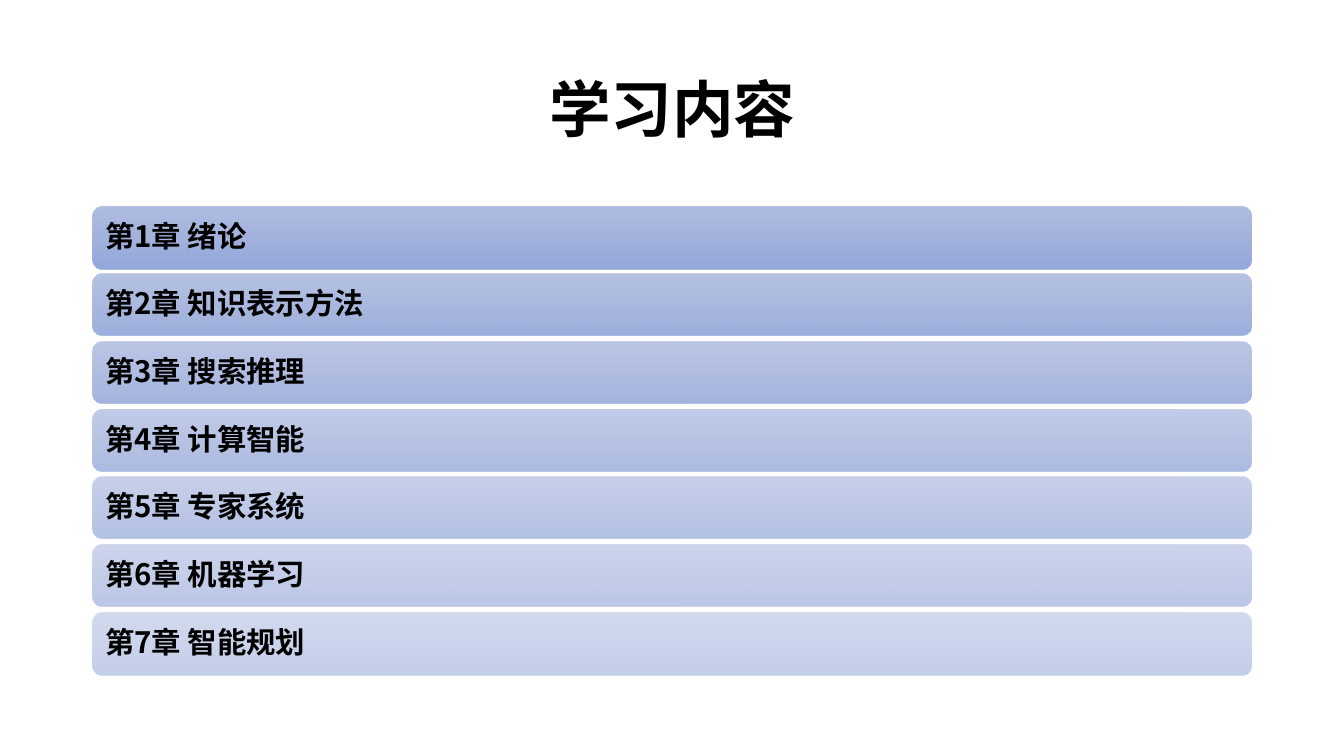
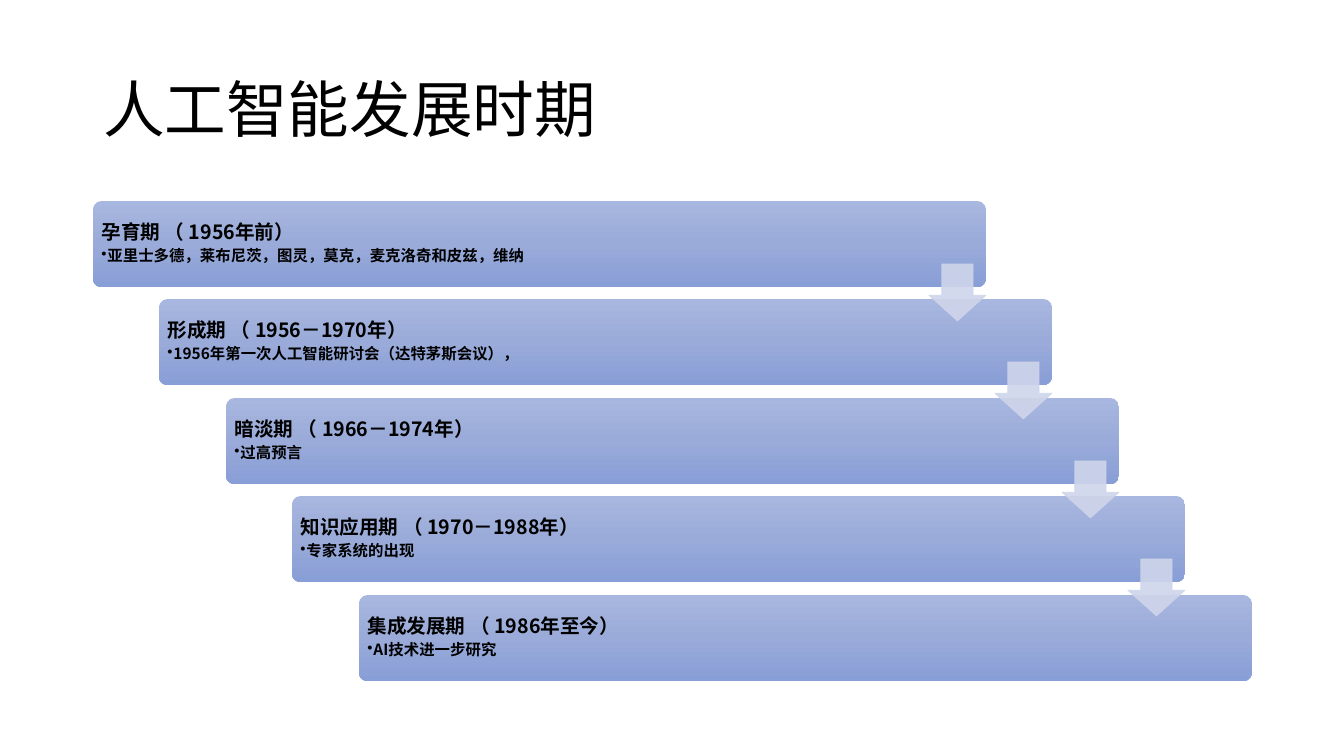
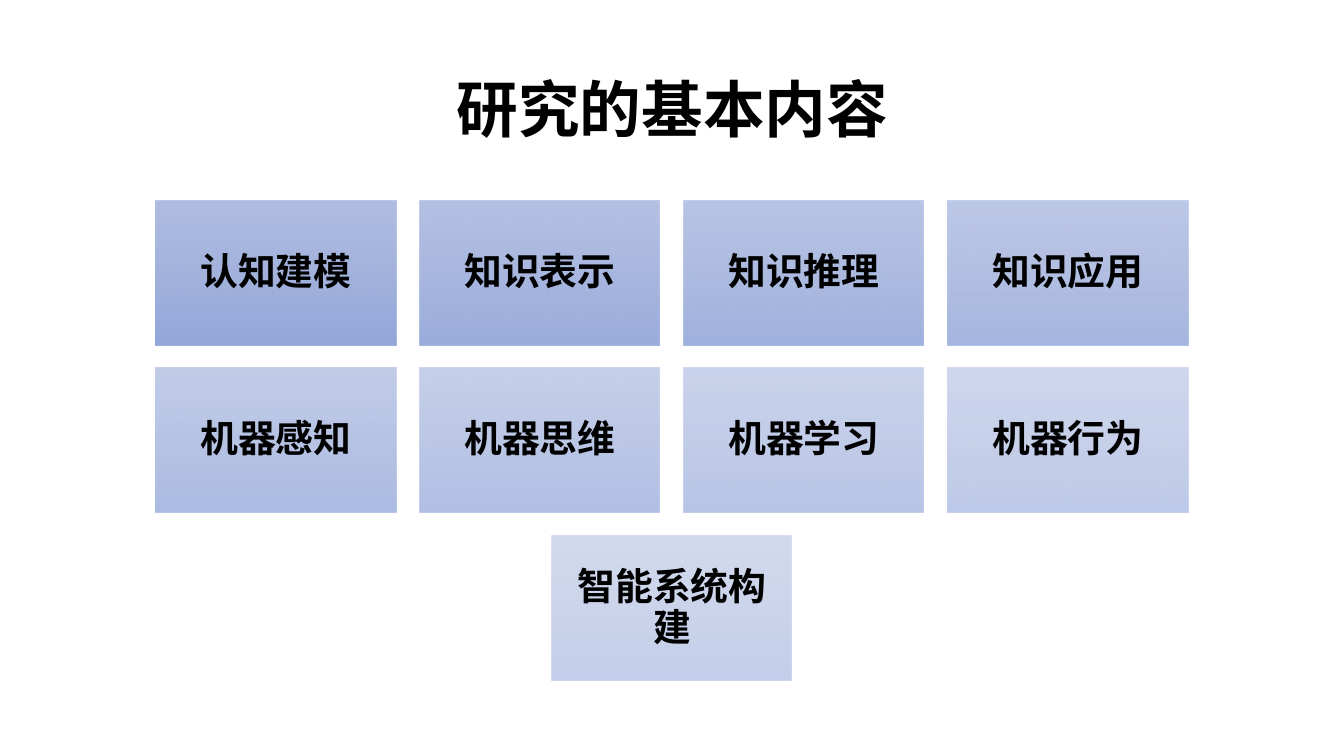
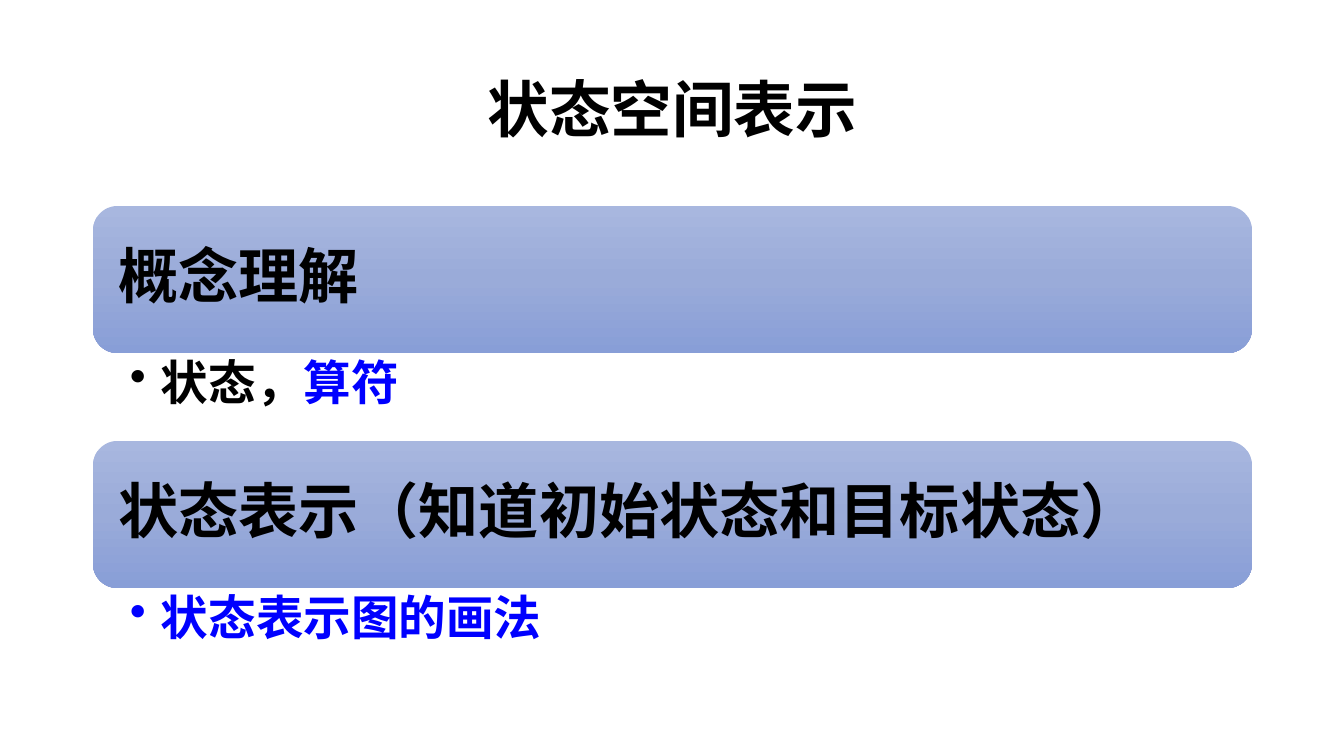
from lxml import etree
from pptx import Presentation
from pptx.dml.color import RGBColor
from pptx.enum import shapes, text
from pptx.oxml import ns
from pptx.util import Pt

SCALE = 12192000 / 1344
FONT = "Noto Sans CJK SC"
BLACK = RGBColor(0x00, 0x00, 0x00)
BLUE = RGBColor(0x00, 0x00, 0xFF)
PALE = RGBColor(0xCF, 0xD5, 0xEA)
GRADIENT = (
    (0, RGBColor(0xA8, 0xB7, 0xDF)),
    (50, RGBColor(0x9A, 0xAB, 0xD9)),
    (100, RGBColor(0x88, 0x9E, 0xD7)),
)
LEFT, WIDTH = 93, 1159
ROUNDED = shapes.MSO_SHAPE.ROUNDED_RECTANGLE


def write(paragraph, size, *runs, bold=True, gap=3, indent=0):
    if indent:
        paragraph.level = 1
        properties = paragraph._p.get_or_add_pPr()
        properties.set("marL", str(int(indent * SCALE)))
        properties.set("indent", str(-int(indent * SCALE)))
        etree.SubElement(properties, ns.qn("a:buChar"), char="•")
    paragraph.line_spacing = 0.9
    paragraph.space_after = Pt(gap)
    for words, color in runs:
        run = paragraph.add_run()
        run.text = words
        run.font.size = Pt(size)
        run.font.bold = bold
        run.font.name = FONT
        run.font.color.rgb = color
        etree.SubElement(run._r.get_or_add_rPr(), ns.qn("a:ea"), typeface=FONT)


def add_card(slide, kind, box, inset, opacity=100):
    card = slide.shapes.add_shape(kind, *[int(length * SCALE) for length in box])
    card.shadow.inherit = False
    card.line.fill.background()
    card.fill.gradient()
    card.fill.gradient_angle = 270
    stops = next(card._element.spPr.iter(ns.qn("a:gsLst")))
    for stop in list(stops):
        stops.remove(stop)
    for position, color in GRADIENT:
        stop = etree.SubElement(stops, ns.qn("a:gs"), pos=str(position * 1000))
        fill = etree.SubElement(stop, ns.qn("a:srgbClr"), val=str(color))
        etree.SubElement(fill, ns.qn("a:alpha"), val=str(int(opacity * 1000)))
    frame = card.text_frame
    frame.word_wrap = True
    frame.vertical_anchor = text.MSO_ANCHOR.MIDDLE
    frame.margin_left = frame.margin_right = int(inset * SCALE)
    frame.margin_top = frame.margin_bottom = int(inset * SCALE)
    frame.paragraphs[0].alignment = text.PP_ALIGN.LEFT
    return card


presentation = Presentation()
presentation.slide_width = int(1344 * SCALE)
presentation.slide_height = int(756 * SCALE)

slides = []
for words, alignment, bold in (
    ("学习内容", text.PP_ALIGN.CENTER, True),
    ("人工智能发展时期", text.PP_ALIGN.LEFT, False),
    ("研究的基本内容", text.PP_ALIGN.CENTER, True),
    ("状态空间表示", text.PP_ALIGN.CENTER, True),
):
    slide = presentation.slides.add_slide(presentation.slide_layouts[5])
    title = slide.shapes.title
    title.left, title.top = int(LEFT * SCALE), int(40 * SCALE)
    title.width, title.height = int(WIDTH * SCALE), int(146 * SCALE)
    title.text_frame.auto_size = text.MSO_AUTO_SIZE.NONE
    title.text_frame.vertical_anchor = text.MSO_ANCHOR.MIDDLE
    paragraph = title.text_frame.paragraphs[0]
    paragraph.alignment = alignment
    write(paragraph, 44, (words, BLACK), bold=bold, gap=0)
    slides.append(slide)
contents_slide, periods_slide, topics_slide, states_slide = slides

chapters = ["绪论", "知识表示方法", "搜索推理", "计算智能", "专家系统", "机器学习", "智能规划"]
for index, chapter in enumerate(chapters):
    box = (LEFT, 207 + 406 * index // 6, WIDTH, 62)
    card = add_card(contents_slide, ROUNDED, box, 9, 90 - 40 * index / 6)
    write(card.text_frame.paragraphs[0], 21, (f"第{index + 1}章 {chapter}", BLACK))

periods = [
    ("孕育期 （ 1956年前）", "亚里士多德，莱布尼茨，图灵，莫克，麦克洛奇和皮兹，维纳"),
    ("形成期 （ 1956－1970年）", "1956年第一次人工智能研讨会（达特茅斯会议），"),
    ("暗淡期 （ 1966－1974年）", "过高预言"),
    ("知识应用期 （ 1970－1988年）", "专家系统的出现"),
    ("集成发展期 （ 1986年至今）", "AI技术进一步研究"),
]
corners = [(LEFT + 266 * step // 4, 201 + 394 * step // 4) for step in range(5)]
for (left, top), (period, event) in zip(corners, periods):
    card = add_card(periods_slide, ROUNDED, (left, top, 893, 86), 6)
    card.adjustments[0] = 0.1
    write(card.text_frame.paragraphs[0], 14, (period, BLACK))
    paragraph = card.text_frame.add_paragraph()
    paragraph.alignment = text.PP_ALIGN.LEFT
    write(paragraph, 11, (event, BLACK), gap=2, indent=6)
for left, top in corners[:-1]:
    box = (left + 836, top + 63, 57, 57)
    arrow = periods_slide.shapes.add_shape(
        shapes.MSO_SHAPE.DOWN_ARROW, *[int(length * SCALE) for length in box]
    )
    arrow.shadow.inherit = False
    arrow.adjustments[0], arrow.adjustments[1] = 0.55, 0.45
    arrow.fill.solid()
    arrow.fill.fore_color.rgb = PALE
    arrow.line.color.rgb = PALE
    arrow.line.width = Pt(0.5)
    for color in arrow._element.spPr.iter(ns.qn("a:srgbClr")):
        etree.SubElement(color, ns.qn("a:alpha"), val="90000")

topic_rows = [
    ["认知建模", "知识表示", "知识推理", "知识应用"],
    ["机器感知", "机器思维", "机器学习", "机器行为"],
    ["智能系统构建"],
]
opacity = 90
for row, topics in enumerate(topic_rows):
    row_left = (1344 - 264 * len(topics) + 24) // 2
    for column, topic in enumerate(topics):
        box = (row_left + 264 * column, 201 + 335 * row // 2, 240, 145)
        card = add_card(topics_slide, shapes.MSO_SHAPE.RECTANGLE, box, 11, opacity)
        paragraph = card.text_frame.paragraphs[0]
        paragraph.alignment = text.PP_ALIGN.CENTER
        write(paragraph, 27, (topic, BLACK))
        opacity -= 5

sections = [
    ("概念理解", [("状态，", BLACK), ("算符", BLUE)]),
    ("状态表示（知道初始状态和目标状态）", [("状态表示图的画法", BLUE)]),
]
for index, (heading, points) in enumerate(sections):
    top = 206 + 235 * index
    card = add_card(states_slide, ROUNDED, (LEFT, top, WIDTH, 147), 18)
    write(card.text_frame.paragraphs[0], 43, (heading, BLACK))
    box = (LEFT, top + 147, WIDTH, 88)
    note = states_slide.shapes.add_textbox(*[int(length * SCALE) for length in box])
    frame = note.text_frame
    frame.word_wrap = True
    frame.margin_left, frame.margin_right = int(37 * SCALE), int(33 * SCALE)
    frame.margin_top = frame.margin_bottom = int(6 * SCALE)
    write(frame.paragraphs[0], 34, *points, indent=31)

presentation.save("out.pptx")
